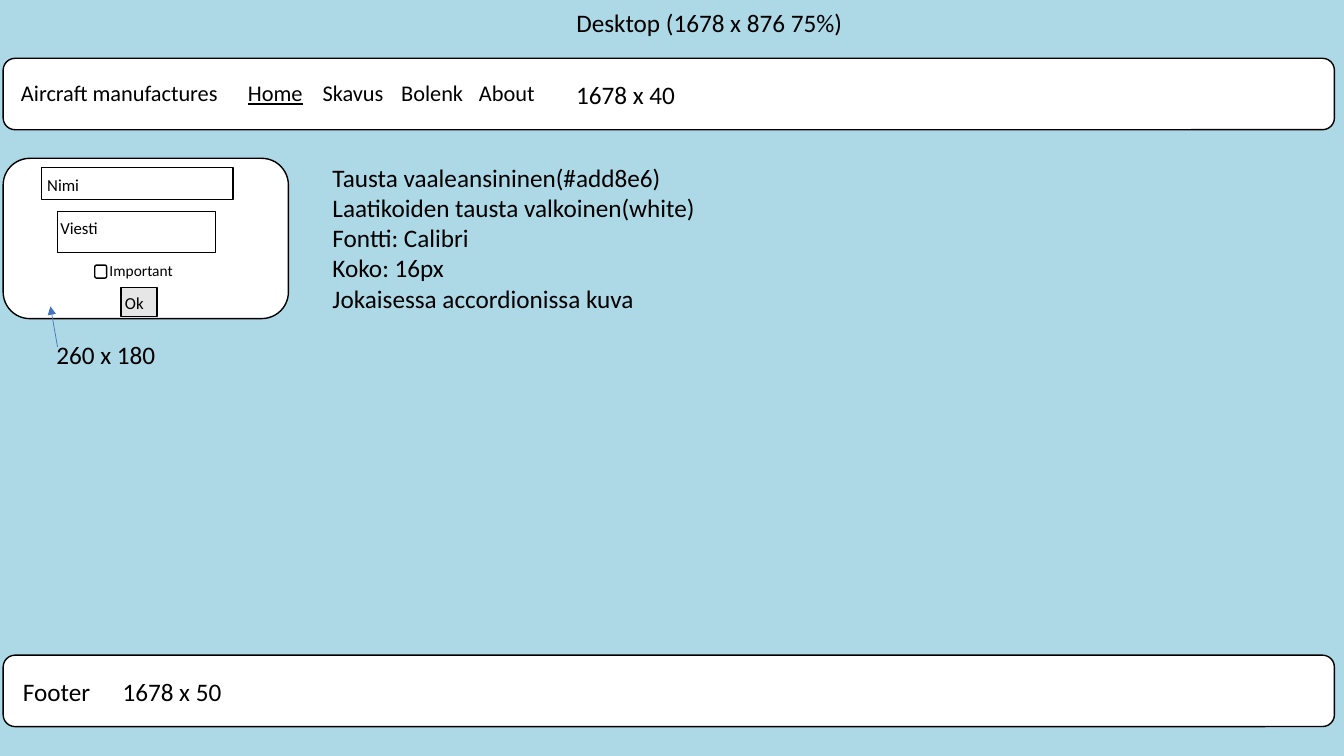
from lxml.etree import SubElement
from pptx import Presentation
from pptx.dml.color import RGBColor
from pptx.enum.shapes import MSO_CONNECTOR as Link, MSO_SHAPE as Form
from pptx.enum.text import MSO_ANCHOR as Anchor, MSO_AUTO_SIZE as Fit, PP_ALIGN as Align
from pptx.oxml.ns import qn
from pptx.util import Cm, Pt

FONT = "Calibri"
SKY, WHITE, BLACK, GREY, BLUE = "ADD8E6", "FFFFFF", "000000", "E7E6E6", "4472C4"


def paint(fmt, hue):
    """Give a fill or a line one solid colour."""
    fill = getattr(fmt, "fill", fmt)
    fill.solid()
    fill.fore_color.rgb = RGBColor.from_string(hue)


def style(frame, size):
    for para in frame.paragraphs:
        para.alignment = Align.LEFT
        for run in para.runs:
            run.font.name = FONT
            run.font.size = Pt(size)
            paint(run.font, BLACK)


def box(slide, form, left, top, width, height, hue=None):
    shape = slide.shapes.add_shape(form, Cm(left), Cm(top), Cm(width), Cm(height))
    shape.shadow.inherit = False
    if hue:
        paint(shape.fill, hue)
    else:
        shape.fill.background()
    paint(shape.line, BLACK)
    shape.line.width = Pt(1)


def label(slide, text, left, top, width, height, size=18, wrap=False):
    area = slide.shapes.add_textbox(Cm(left), Cm(top), Cm(width), Cm(height))
    frame = area.text_frame
    frame.word_wrap = wrap
    frame.auto_size = Fit.SHAPE_TO_FIT_TEXT
    frame.text = text
    style(frame, size)
    return frame


def title(slide, text):
    head = slide.shapes.title
    head.left, head.top, head.width, head.height = Cm(14.27), Cm(0.05), Cm(7.29), Cm(1.02)
    frame = head.text_frame
    frame.text = text
    frame.word_wrap = False
    frame.auto_size = Fit.NONE
    frame.vertical_anchor = Anchor.TOP
    style(frame, 18)


def menu(slide, brand, links, stops):
    """Brand name and links on one line, set apart by tab stops."""
    frame = label(slide, brand, 0.28, 1.88, 13.49, 0.94, 16, True)
    para = frame.paragraphs[0]
    tabs = SubElement(para._p.get_or_add_pPr(), qn("a:tabLst"))
    for link, stop in zip(links, stops):
        SubElement(tabs, qn("a:tab"), pos=str(Cm(stop)), algn="l")
        para.add_run().text = "\t"
        run = para.add_run()
        run.text = link
        run.font.underline = link == "Home"
    style(frame, 16)


def arrow(slide, x1, y1, x2, y2):
    line = slide.shapes.add_connector(Link.STRAIGHT, Cm(x1), Cm(y1), Cm(x2), Cm(y2))
    paint(line.line, BLUE)
    line.line.width = Pt(0.5)
    SubElement(line.line._get_or_add_ln(), qn("a:tailEnd"), type="triangle")
    SubElement(line._element.spPr, qn("a:effectLst"))


def main():
    deck = Presentation()
    deck.slide_width, deck.slide_height = Cm(33.87), Cm(19.05)
    slide = deck.slides.add_slide(deck.slide_layouts[5])
    paint(slide.background, SKY)
    title(slide, "Desktop (1678 x 876 75%)")

    # Header and footer bars
    for top in (1.47, 16.51):
        box(slide, Form.ROUNDED_RECTANGLE, 0.08, top, 33.55, 1.8, WHITE)
    menu(slide, "Aircraft manufactures", ("Home", "Skavus", "Bolenk", "About"),
         (5.72, 7.6, 9.58, 11.54))
    label(slide, "1678 x 40", 14.27, 1.88, 3.02, 1.02)
    label(slide, "Footer", 0.33, 16.92, 2.24, 1.02)
    label(slide, "1678 x 50", 2.84, 16.92, 3.02, 1.02)

    # Message form
    box(slide, Form.ROUNDED_RECTANGLE, 0.08, 3.99, 7.19, 4.04, WHITE)
    box(slide, Form.RECTANGLE, 1.04, 4.22, 4.83, 0.81, WHITE)
    box(slide, Form.RECTANGLE, 1.45, 5.33, 3.99, 1.04)
    box(slide, Form.ROUNDED_RECTANGLE, 2.39, 6.68, 0.3, 0.33)
    box(slide, Form.RECTANGLE, 3.05, 7.24, 0.91, 0.74, GREY)
    label(slide, "Nimi", 0.94, 4.29, 2.11, 0.76, 12, True)
    label(slide, "Viesti", 1.27, 5.36, 1.47, 0.76, 12)
    label(slide, "Important", 2.51, 6.45, 2.11, 0.74, 11)
    label(slide, "Ok", 2.9, 7.24, 1.09, 0.76, 12, True)

    # Size of the form
    label(slide, "260 x 180", 1.17, 8.43, 3.02, 1.02)
    arrow(slide, 1.45, 8.74, 1.27, 7.72)

    # Design notes
    notes = ("Tausta vaaleansininen(#add8e6)", "Laatikoiden tausta valkoinen(white)",
             "Fontti: Calibri", "Koko: 16px", "Jokaisessa accordionissa kuva")
    label(slide, "\n".join(notes), 8.13, 3.96, 9.75, 4.11)

    deck.save("out.pptx")


if __name__ == "__main__":
    main()
